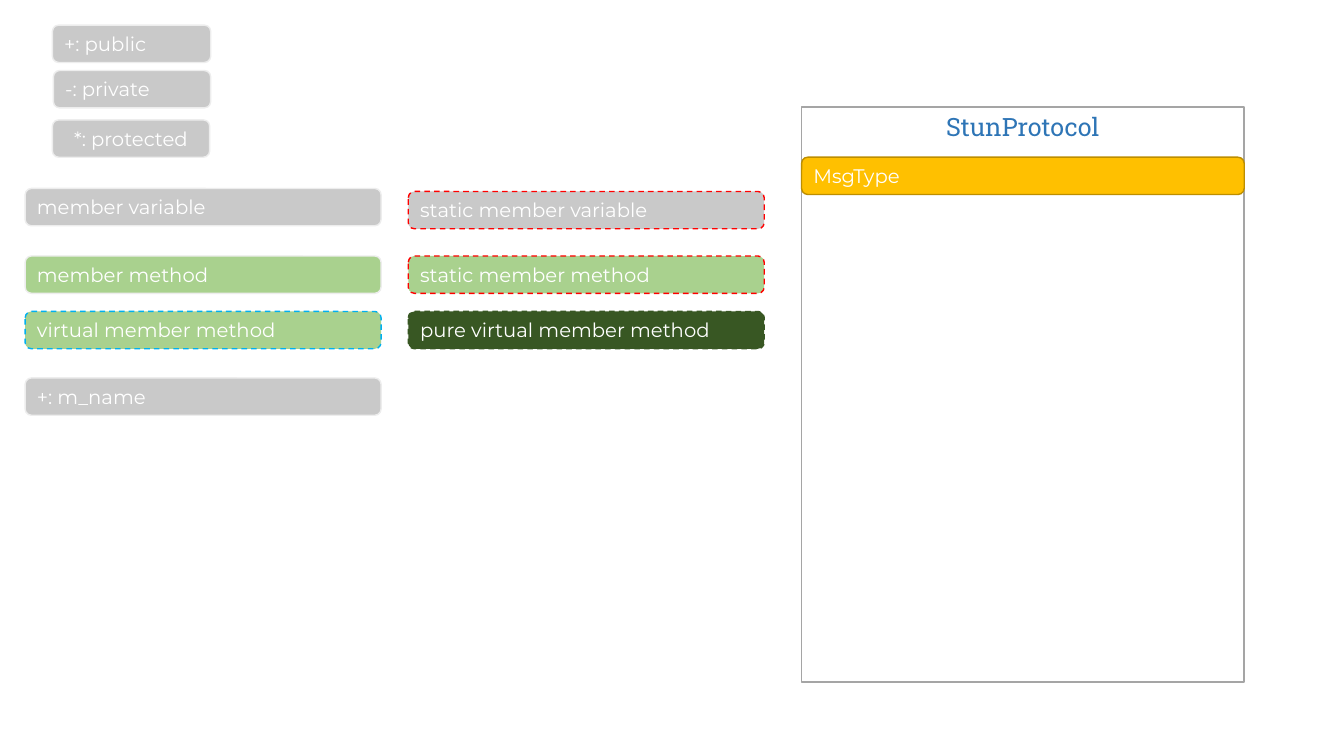
from dataclasses import dataclass

from pptx import Presentation
from pptx.dml.color import RGBColor
from pptx.enum.dml import MSO_LINE
from pptx.enum.shapes import MSO_SHAPE
from pptx.enum.text import MSO_ANCHOR, PP_ALIGN
from pptx.util import Emu, Pt

RECT, ROUNDED = MSO_SHAPE.RECTANGLE, MSO_SHAPE.ROUNDED_RECTANGLE
TOP, MIDDLE = MSO_ANCHOR.TOP, MSO_ANCHOR.MIDDLE
LEFT, CENTER = PP_ALIGN.LEFT, PP_ALIGN.CENTER
DASH = MSO_LINE.DASH
PX = 9144  # 100 px to the inch
TAG_H = 37


@dataclass(frozen=True)
class Theme:
    gray: str = "C9C9C9"
    pale: str = "EDEDED"
    green: str = "A9D18E"
    dark_green: str = "385723"
    red: str = "FF0000"
    cyan: str = "00B0F0"
    amber: str = "FFC000"
    amber_edge: str = "BD8E00"
    frame: str = "A5A5A5"
    blue: str = "2E75B6"
    white: str = "FFFFFF"
    body_font: str = "Montserrat"
    head_font: str = "Roboto Slab"
    body_size: int = 14
    head_size: int = 18


T = Theme()


def px(n):
    return Emu(n * PX)


def rgb(code):
    return RGBColor.from_string(code)


def add_box(slide, kind, box, fill, edge, width=1.0, dashed=False):
    sp = slide.shapes.add_shape(kind, *map(px, box))
    sp.shadow.inherit = False
    if fill:
        sp.fill.solid()
        sp.fill.fore_color.rgb = rgb(fill)
    else:
        sp.fill.background()
    sp.line.color.rgb = rgb(edge)
    sp.line.width = Pt(width)
    if dashed:
        sp.line.dash_style = DASH
    return sp


def write(sp, text, font, size, color, align=LEFT, anchor=MIDDLE):
    tf = sp.text_frame
    tf.word_wrap = True
    tf.vertical_anchor = anchor
    tf.text = text
    p = tf.paragraphs[0]
    p.alignment = align
    r = p.runs[0]
    r.font.name, r.font.size = font, Pt(size)
    r.font.color.rgb = rgb(color)


def add_tag(slide, x, y, w, text, fill=T.gray, edge=T.pale, dashed=False, align=LEFT):
    sp = add_box(slide, ROUNDED, (x, y, w, TAG_H), fill, edge, dashed=dashed)
    write(sp, text, T.body_font, T.body_size, T.white, align)


def access_legend(slide, x, y, w):
    """Symbols for the access levels."""
    add_tag(slide, x, y, w, "+: public")
    add_tag(slide, x + 1, y + 45, w - 1, "-: private")
    add_tag(slide, x, y + 94, w - 1, "*: protected", align=CENTER)


def member_legend(slide, x, y, w):
    """Colours for the kinds of member: instance left, static and abstract right."""
    right = x + 380
    method_y, virtual_y, example_y = y + 67, y + 122, y + 188
    add_tag(slide, x, y, w, "member variable")
    add_tag(slide, x, method_y, w, "member method", T.green)
    add_tag(slide, x, virtual_y, w, "virtual member method", T.green, T.cyan, True)
    add_tag(slide, right, y + 3, w, "static member variable", T.gray, T.red, True)
    add_tag(slide, right, method_y, w, "static member method", T.green, T.red, True)
    add_tag(slide, right, virtual_y, w, "pure virtual member method",
            T.dark_green, T.dark_green, True)
    add_tag(slide, x, example_y, w, "+: m_name")


def class_card(slide, x, y, w, h, name, member):
    """Class frame with its name and one nested type."""
    sp = add_box(slide, RECT, (x, y, w, h), None, T.frame, 1.25)
    write(sp, name, T.head_font, T.head_size, T.blue, CENTER, TOP)
    add_tag(slide, x, y + 50, w, member, T.amber, T.amber_edge)


def main():
    prs = Presentation()
    prs.slide_width, prs.slide_height = px(1333), px(750)
    slide = prs.slides.add_slide(prs.slide_layouts[6])
    member_legend(slide, 25, 187, 353)
    access_legend(slide, 52, 25, 157)
    class_card(slide, 795, 106, 439, 571, "StunProtocol", "MsgType")
    prs.save("out.pptx")


if __name__ == "__main__":
    main()
